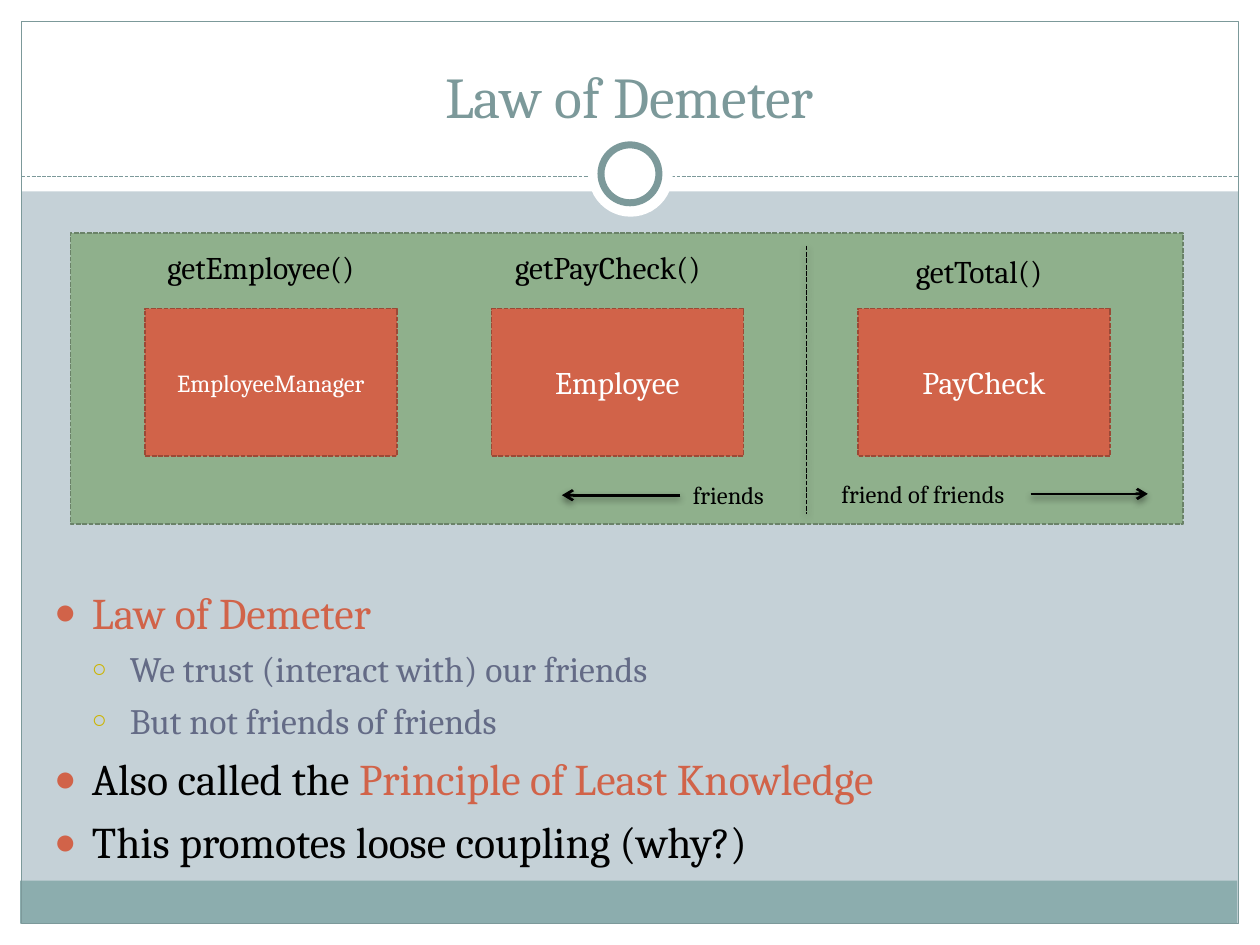
from lxml.etree import SubElement
from pptx import Presentation
from pptx.dml.color import RGBColor
from pptx.enum.dml import MSO_LINE_DASH_STYLE as Dash
from pptx.enum.shapes import MSO_CONNECTOR as Connector, MSO_SHAPE as Shape
from pptx.enum.text import MSO_ANCHOR as Anchor, MSO_AUTO_SIZE as AutoSize, PP_ALIGN as Align
from pptx.oxml.ns import qn
from pptx.util import Inches, Pt

WHITE, BLACK, TEAL, ORANGE, SLATE = "FFFFFF", "000000", "7C999A", "D16349", "646B86"
TITLE = "Law of Demeter"
BULLETS = [
    (0, [("Law of Demeter", ORANGE)]),
    (1, [("We trust (interact with) our friends", SLATE)]),
    (1, [("But not friends of friends", SLATE)]),
    (0, [("Also called the ", BLACK), ("Principle of Least Knowledge", ORANGE)]),
    (0, [("This promotes loose coupling (why?)", BLACK)]),
]
LEVELS = [
    dict(size=25, before=6, char="●", color=ORANGE, scale=85),
    dict(size=20.4, before=5, char="○", color="CCB400", scale=70),
]
FRAME = [
    (Shape.RECTANGLE, (0, 7.33, 10, 0.17), WHITE, None),
    (Shape.RECTANGLE, (0, 0, 10, 1.52), WHITE, None),
    (Shape.RECTANGLE, (0, 0, 0.17, 7.5), WHITE, None),
    (Shape.RECTANGLE, (9.83, 0, 0.17, 7.5), WHITE, None),
    (Shape.RECTANGLE, (0.16, 6.99, 9.66, 0.34), "8CADAE", None),
    (Shape.RECTANGLE, (0.17, 0.17, 9.66, 7.16), None, (TEAL, 0.75)),
]
RINGS = [
    (Shape.OVAL, (4.67, 1.05, 0.67, 0.67), WHITE, None),
    (Shape.OVAL, (4.77, 1.15, 0.46, 0.46), WHITE, (TEAL, 4)),
]
CLASSES = [("EmployeeManager", 14, 1.15), ("Employee", 18, 3.9), ("PayCheck", 18, 6.81)]
LABELS = [
    ("getEmployee()", 18, (1.23, 1.92, 1.84, 0.4)),
    ("getPayCheck()", 18, (3.99, 1.92, 1.82, 0.4)),
    ("getTotal()", 18, (7.17, 1.95, 1.31, 0.4)),
    ("friends", 14, (5.4, 3.76, 0.81, 0.34)),
    ("friend of friends", 14, (6.58, 3.75, 1.6, 0.34)),
]
ARROWS = [((8.18, 3.92), (9.11, 3.92)), ((5.4, 3.93), (4.46, 3.93))]


def rgb(value):
    """Turn a hex string into a colour."""
    return RGBColor.from_string(value)


def write(paragraph, text, size, color, align=None):
    """Add a formatted run to a paragraph."""
    run = paragraph.add_run()
    run.text = text
    run.font.size, run.font.name = Pt(size), "Cambria"
    run.font.color.rgb = rgb(color)
    if align is not None:
        paragraph.alignment = align


def stroke(line, color, width, dash=None):
    """Format an outline or a connector line."""
    line.color.rgb, line.width = rgb(color), Pt(width)
    if dash:
        line.dash_style = dash


def place(shape, box):
    """Move and size a shape in inches."""
    shape.left, shape.top, shape.width, shape.height = map(Inches, box)


def add_box(shapes, kind, box, fill, outline):
    """Add a preset shape with an optional fill and outline."""
    shape = shapes.add_shape(kind, *map(Inches, box))
    shape.shadow.inherit = False
    if fill:
        shape.fill.solid()
        shape.fill.fore_color.rgb = rgb(fill)
    else:
        shape.fill.background()
    if outline:
        stroke(shape.line, *outline)
    else:
        shape.line.fill.background()
    return shape


def add_line(shapes, start, end, color, width, dash=None, arrow=False, shadow=0):
    """Add a straight line with an optional arrowhead and shadow percentage."""
    line = shapes.add_connector(Connector.STRAIGHT, *map(Inches, start + end))
    stroke(line.line, color, width, dash)
    if arrow:
        SubElement(line.line._get_or_add_ln(), qn("a:tailEnd"), type="arrow")
    effects = SubElement(line._element.spPr, qn("a:effectLst"))
    if shadow:
        outer = SubElement(effects, qn("a:outerShdw"), blurRad=str(Pt(4)),
                           dist=str(Pt(2)), dir="5400000", rotWithShape="0")
        shade = SubElement(outer, qn("a:srgbClr"), val=BLACK)
        SubElement(shade, qn("a:alpha"), val=str(shadow * 1000))


def add_bullet(paragraph, level, runs):
    """Fill a list paragraph with its bullet and coloured runs."""
    style = LEVELS[level]
    paragraph.level, paragraph.space_before = level, Pt(style["before"])
    props = paragraph._p.get_or_add_pPr()
    props.set("marL", str(Inches(0.3 * (level + 1))))
    props.set("indent", str(Inches(-0.3)))
    SubElement(SubElement(props, qn("a:buClr")), qn("a:srgbClr"), val=style["color"])
    SubElement(props, qn("a:buSzPct"), val=str(style["scale"] * 1000))
    SubElement(props, qn("a:buChar"), char=style["char"])
    for text, color in runs:
        write(paragraph, text, style["size"], color)


def add_diagram(shapes):
    """Draw the classes, their methods and the friendship boundary."""
    add_box(shapes, Shape.RECTANGLE, (0.56, 1.85, 8.83, 2.31), "8FB08C",
            ("6A8268", 0.9, Dash.SQUARE_DOT))
    for name, size, left in CLASSES:
        card = add_box(shapes, Shape.RECTANGLE, (left, 2.45, 2, 1.17), ORANGE,
                       ("9B4936", 0.9, Dash.SQUARE_DOT))
        card.text_frame.vertical_anchor = Anchor.MIDDLE
        write(card.text_frame.paragraphs[0], name, size, WHITE, Align.CENTER)
    for text, size, box in LABELS:
        frame = shapes.add_textbox(*map(Inches, box)).text_frame
        frame.word_wrap, frame.auto_size = False, AutoSize.SHAPE_TO_FIT_TEXT
        write(frame.paragraphs[0], text, size, BLACK)
    add_line(shapes, (6.4, 1.95), (6.4, 4.08), BLACK, 0.9, Dash.SQUARE_DOT, shadow=35)
    for start, end in ARROWS:
        add_line(shapes, start, end, BLACK, 1.57, arrow=True, shadow=45)


def main():
    """Build and save the slide."""
    deck = Presentation()
    deck.slide_width, deck.slide_height = Inches(10), Inches(7.5)
    slide = deck.slides.add_slide(deck.slide_layouts[1])
    slide.background.fill.solid()
    slide.background.fill.fore_color.rgb = rgb("C5D1D7")
    shapes = slide.shapes
    title, body = shapes.title, slide.placeholders[1]

    for part in FRAME:
        add_box(shapes, *part)
    add_line(shapes, (0.17, 1.4), (9.83, 1.4), TEAL, 0.75, Dash.SQUARE_DOT)
    for ring in RINGS:
        add_box(shapes, *ring)

    for holder, box in ((title, (0.33, 0.25, 9.33, 0.83)), (body, (0.33, 4.6, 9.3, 2.23))):
        place(holder, box)
        holder.text_frame.auto_size = AutoSize.NONE
        shapes._spTree.append(holder._element)
    title.text_frame.vertical_anchor = Anchor.BOTTOM
    write(title.text_frame.paragraphs[0], TITLE, 33, TEAL, Align.CENTER)
    for index, (level, runs) in enumerate(BULLETS):
        frame = body.text_frame
        add_bullet(frame.add_paragraph() if index else frame.paragraphs[0], level, runs)

    add_diagram(shapes.add_group_shape().shapes)
    deck.save("out.pptx")


if __name__ == "__main__":
    main()
